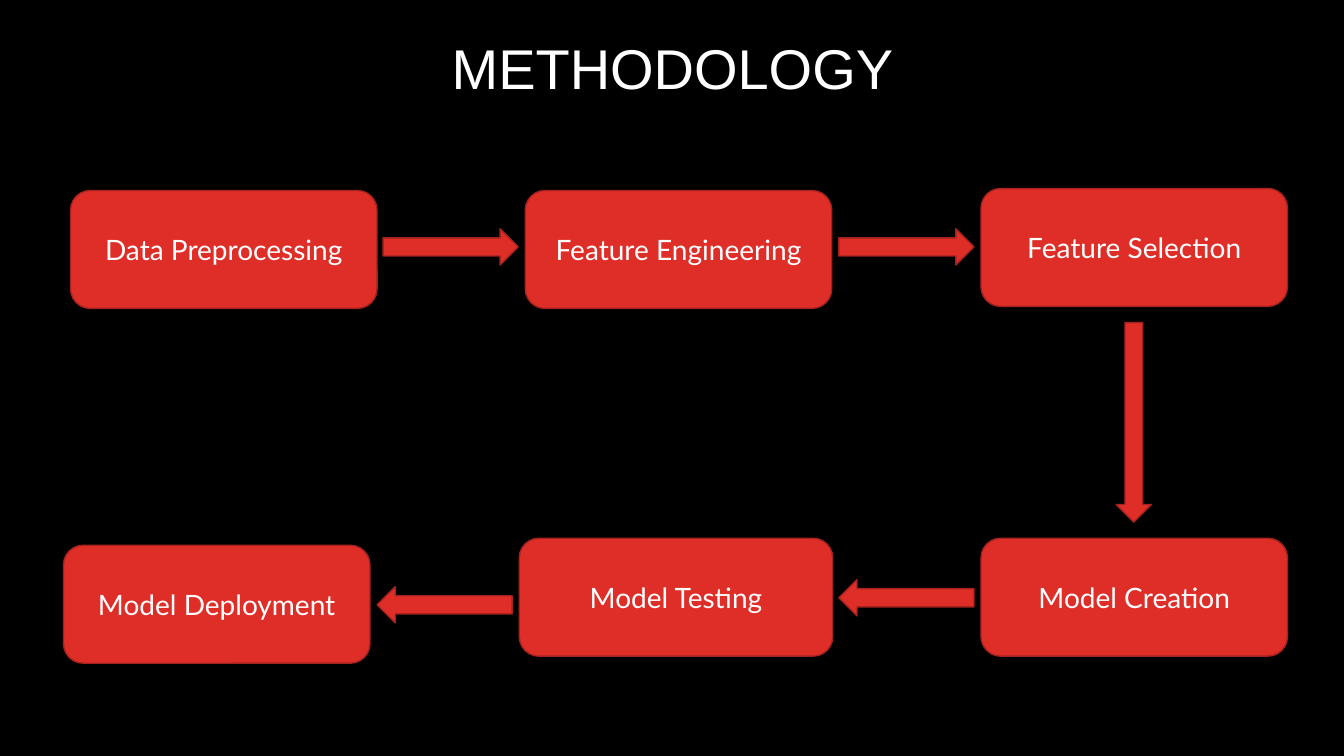
from pptx import Presentation
from pptx.dml.color import RGBColor
from pptx.enum.shapes import MSO_SHAPE
from pptx.enum.text import MSO_ANCHOR, PP_ALIGN
from pptx.util import Pt

ROUNDED = MSO_SHAPE.ROUNDED_RECTANGLE
RIGHT_ARROW = MSO_SHAPE.RIGHT_ARROW
DOWN_ARROW = MSO_SHAPE.DOWN_ARROW
MIDDLE = MSO_ANCHOR.MIDDLE
CENTER = PP_ALIGN.CENTER

EMU_PER_PX = 9144  # 100 px to the inch
COLORS = {"background": "000000", "fill": "DF2E28", "line": "A5221E", "text": "FFFFFF"}


def px(*lengths):
    return [length * EMU_PER_PX for length in lengths]


def color(name):
    return RGBColor.from_string(COLORS[name])


class FlowSlide:
    """Holds the style and the current slide."""

    title_font, title_size = "Arial", 40
    step_font, step_size = "Lato", 20

    def __init__(self, deck):
        self.page = deck.slides.add_slide(deck.slide_layouts[6])
        background = self.page.background.fill
        background.solid()
        background.fore_color.rgb = color("background")

    def add_text(self, box, text, font, size):
        frame = box.text_frame
        frame.word_wrap = True
        frame.vertical_anchor = MIDDLE
        para = frame.paragraphs[0]
        para.alignment = CENTER
        span = para.add_run()
        span.text = text
        span.font.name = font
        span.font.size = Pt(size)
        span.font.color.rgb = color("text")
        return para

    def title(self, text, left, top, width, height):
        box = self.page.shapes.add_textbox(*px(left, top, width, height))
        para = self.add_text(box, text, self.title_font, self.title_size)
        para.line_spacing = 0.9

    def shape(self, kind, left, top, width, height):
        shape = self.page.shapes.add_shape(kind, *px(left, top, width, height))
        shape.shadow.inherit = False
        shape.fill.solid()
        shape.fill.fore_color.rgb = color("fill")
        shape.line.color.rgb = color("line")
        shape.line.width = Pt(1)
        return shape

    def step(self, text, left, top, width=304, height=117):
        box = self.shape(ROUNDED, left, top, width, height)
        self.add_text(box, text, self.step_font, self.step_size)

    def across_arrow(self, left, top, rotation=0):
        arrow = self.shape(RIGHT_ARROW, left, top, 134, 36)
        arrow.rotation = rotation

    def down_arrow(self, left, top):
        self.shape(DOWN_ARROW, left, top, 35, 198)


def main():
    deck = Presentation()
    deck.slide_width, deck.slide_height = px(1333, 750)
    flow = FlowSlide(deck)

    flow.title("METHODOLOGY", 70, 0, 1194, 141)

    # Upper row, read left to right
    flow.step("Data Preprocessing", 70, 189)
    flow.step("Feature Engineering", 521, 189)
    flow.step("Feature Selection", 973, 187)

    # Lower row, read right to left
    flow.step("Model Creation", 973, 534)
    flow.step("Model Testing", 515, 534, width=311)
    flow.step("Model Deployment", 63, 541)

    # Arrows in flow order
    flow.across_arrow(380, 227)
    flow.across_arrow(832, 227)
    flow.down_arrow(1107, 320)
    flow.across_arrow(832, 575, rotation=180)
    flow.across_arrow(374, 582, rotation=180)

    deck.save("out.pptx")


if __name__ == "__main__":
    main()
